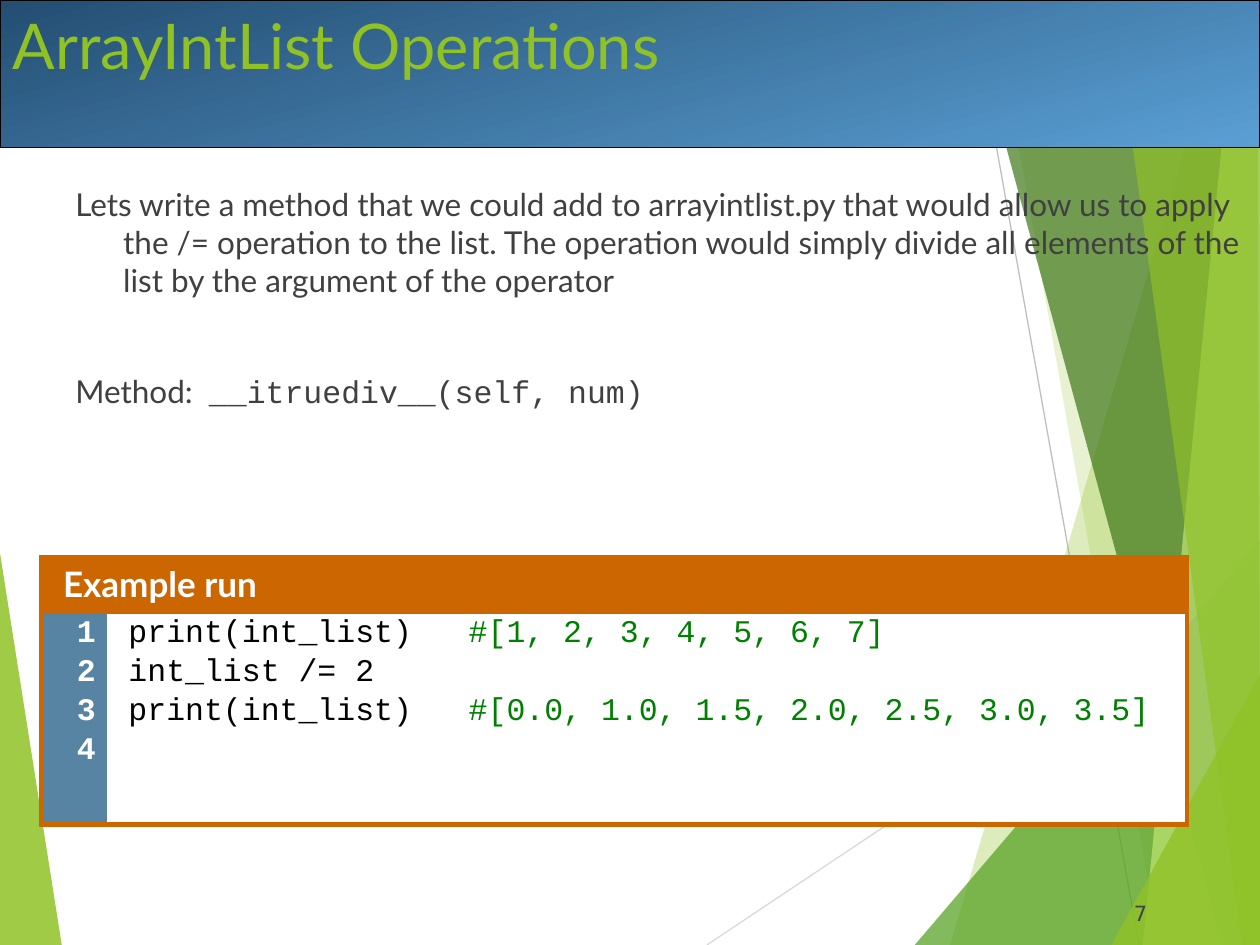
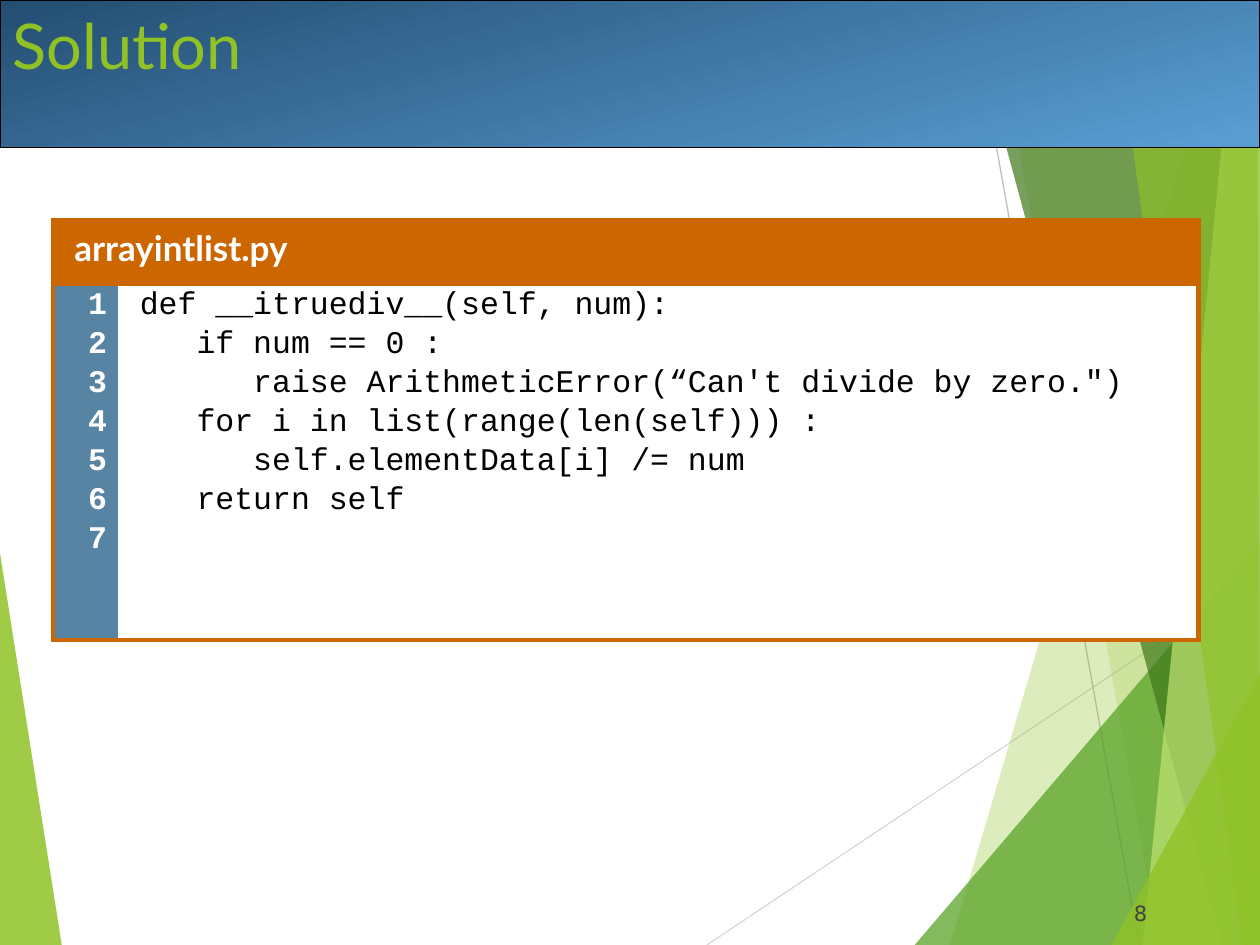
import lxml.etree
import pptx
import pptx.dml.color
import pptx.enum.shapes
import pptx.enum.text
import pptx.oxml
import pptx.oxml.ns
import pptx.util

Inches = pptx.util.Inches
Pt = pptx.util.Pt
qn = pptx.oxml.ns.qn
ALIGN = pptx.enum.text.PP_ALIGN
ANCHOR = pptx.enum.text.MSO_ANCHOR

SANS, MONO, NUMBER_FONT = "Lato", "Courier New", "DejaVu Sans"
LIME, ORANGE, STEEL, WHITE, BLACK = "90C226", "CC6600", "5784A3", "FFFFFF", "000000"
BODY, COMMENT, NUMBER = "404040", "008000", "424242"
WIDTH, HEIGHT = 10, 7.5

RAYS = [((5.61, 7.5), (10, 4.57), "D9D9D9"), ((7.7, 0), (9.04, 7.5), "BFBFBF")]
FACETS = [
    ([(0, 4.39), (0.49, 7.5), (0, 7.5)], LIME, 85),
    ([(9.75, 0), (7.54, 7.5), (10, 7.5), (10, 0)], LIME, 30),
    ([(7.88, 0), (9.2, 7.5), (10, 7.5), (10, 0)], LIME, 20),
    ([(7.26, 7.5), (10, 4.29), (10, 7.5)], "54A021", 72),
    ([(7.67, 0), (9.7, 7.5), (10, 7.5), (10, 0)], "3F7819", 70),
    ([(9.81, 0), (9.07, 7.5), (10, 7.5), (10, 0)], "C0E474", 70),
    ([(8.83, 0), (9.86, 7.5), (10, 7.5), (9.98, 0)], LIME, 65),
    ([(8.82, 7.5), (10, 5.35), (10, 7.5)], LIME, 80),
]
EXAMPLE = [
    [("print(int_list)   ", {}), ("#[1, 2, 3, 4, 5, 6, 7]", {"color": COMMENT})],
    "int_list /= 2",
    [("print(int_list)   ", {}),
     ("#[0.0, 1.0, 1.5, 2.0, 2.5, 3.0, 3.5]", {"color": COMMENT})],
]
SOLUTION = [
    "def __itruediv__(self, num):",
    "   if num == 0 :",
    "      raise ArithmeticError(“Can't divide by zero.\")",
    "   for i in list(range(len(self))) :",
    "      self.elementData[i] /= num",
    "   return self",
]
TASK = [
    "Lets write a method that we could add to arrayintlist.py that would allow us to "
    "apply the /= operation to the list. The operation would simply divide all elements "
    "of the list by the argument of the operator",
    [("Method:  ", {}), ("__itruediv__(self, num)", {"font": MONO})],
]


def rgb(color):
    """Turn a hex string into a colour."""
    return pptx.dml.color.RGBColor.from_string(color)


def style_span(span, font, size, color, bold):
    """Format one run."""
    span.font.name, span.font.size, span.font.bold = font, Pt(size), bold
    span.font.color.rgb = rgb(color)


def write(frame, lines, font=SANS, size=18, color=BLACK, bold=False, align=ALIGN.LEFT,
          gap=0, spacing=None, margin=0, indent=0):
    """Fill a text frame with lines, each a string or a list of (text, format) pairs."""
    for index, line in enumerate(lines):
        para = frame.add_paragraph() if index else frame.paragraphs[0]
        properties = para._p.get_or_add_pPr()
        properties.set("marL", str(Inches(margin)))
        properties.set("indent", str(Inches(indent)))
        para.alignment = align
        para.space_before = Pt(gap if index else 0)
        if spacing:
            para.line_spacing = spacing
        for text, change in [(line, {})] if isinstance(line, str) else line:
            span = para.add_run()
            span.text = text
            look = {"font": font, "size": size, "color": color, "bold": bold}
            style_span(span, **{**look, **change})


def add_text(page, left, top, width, height, lines, inset=None, anchor=ANCHOR.TOP, **look):
    """Add a wrapping text box."""
    frame = page.shapes.add_textbox(
        Inches(left), Inches(top), Inches(width), Inches(height)).text_frame
    frame.word_wrap, frame.vertical_anchor = True, anchor
    if inset is not None:
        frame.margin_left = frame.margin_right = Inches(inset)
        frame.margin_top = frame.margin_bottom = Inches(inset)
    write(frame, lines, **look)


def add_ray(page, start, end, color):
    """Draw a thin background line."""
    ray = page.shapes.add_connector(
        pptx.enum.shapes.MSO_CONNECTOR.STRAIGHT, *map(Inches, start + end))
    ray.line.color.rgb, ray.line.width = rgb(color), Pt(0.75)
    lxml.etree.SubElement(ray.element.spPr, qn("a:effectLst"))


def add_facet(page, points, color, opacity):
    """Draw a translucent background polygon."""
    corners = [(Inches(x), Inches(y)) for x, y in points]
    builder = page.shapes.build_freeform(*corners[0])
    builder.add_line_segments(corners[1:], close=True)
    facet = builder.convert_to_shape()
    facet.shadow.inherit = False
    facet.line.fill.background()
    facet.fill.solid()
    facet.fill.fore_color.rgb = rgb(color)
    tint = next(facet.element.spPr.iter(qn("a:srgbClr")))
    lxml.etree.SubElement(tint, qn("a:alpha")).set("val", str(opacity * 1000))


def add_band(page, height):
    """Draw the gradient band behind the title."""
    band = page.shapes.add_shape(
        pptx.enum.shapes.MSO_SHAPE.ROUNDED_RECTANGLE, 0, 0, Inches(WIDTH), Inches(height))
    band.adjustments[0] = 0
    band.shadow.inherit = False
    band.fill.gradient()
    band.fill.gradient_angle = 285
    for stop, color in zip(band.fill.gradient_stops, ("244E72", "5A9FD4")):
        stop.color.rgb = rgb(color)
    band.line.color.rgb, band.line.width = rgb(BLACK), Pt(0.75)


def add_page(deck, heading, number):
    """Add a slide with its backdrop, band, number and title."""
    page = deck.slides.add_slide(deck.slide_layouts[5])
    add_facet(page, *FACETS[0])
    for ray in RAYS:
        add_ray(page, *ray)
    for facet in FACETS[1:]:
        add_facet(page, *facet)
    add_band(page, 1.17)
    add_text(page, 9, 6.95, 0.83, 0.4, [str(number)], inset=0, anchor=ANCHOR.BOTTOM,
             font=NUMBER_FONT, size=12, color=NUMBER)
    title = page.shapes.title
    title.left, title.top, title.width, title.height = map(Inches, (0, 0, 9, 1.25))
    title.text_frame.vertical_anchor = ANCHOR.TOP
    title.text_frame.auto_size = pptx.enum.text.MSO_AUTO_SIZE.NONE
    write(title.text_frame, [heading], size=36, color=LIME)
    page.shapes.element.append(title.element)
    return page


def fill_cell(cell, lines, fill, edges, right=0.05, **look):
    """Write and colour a cell, with borders on the named edges only."""
    cell.margin_left = cell.margin_top = cell.margin_bottom = Inches(0.05)
    cell.margin_right = Inches(right)
    cell.fill.solid()
    cell.fill.fore_color.rgb = rgb(fill)
    properties = cell._tc.get_or_add_tcPr()
    for index, edge in enumerate("LRTB"):
        border = lxml.etree.Element(qn("a:ln" + edge), w=str(Pt(3)))
        if edge in edges:
            paint = lxml.etree.SubElement(border, qn("a:solidFill"))
            lxml.etree.SubElement(paint, qn("a:srgbClr")).set("val", ORANGE)
        else:
            lxml.etree.SubElement(border, qn("a:noFill"))
        properties.insert(index, border)
    write(cell.text_frame, lines, margin=0.12, **look)


def add_listing(page, left, top, heights, caption, code, count):
    """Add a captioned code table with a column of line numbers."""
    widths = (0.52, 8.57)
    table = page.shapes.add_table(2, 2, Inches(left), Inches(top), Inches(sum(widths)),
                                  Inches(sum(heights))).table
    table.horz_banding = False
    for column, width in zip(table.columns, widths):
        column.width = Inches(width)
    for row, height in zip(table.rows, heights):
        row.height = Inches(height)
    table.cell(0, 0).merge(table.cell(0, 1))
    fill_cell(table.cell(0, 0), [caption], ORANGE, "LRTB", size=20, color=WHITE, bold=True)
    fill_cell(table.cell(0, 1), [], ORANGE, "RTB")
    look = {"font": MONO, "gap": 4.5, "spacing": 0.87}
    numbers = [str(number) for number in range(1, count + 1)]
    fill_cell(table.cell(1, 0), numbers, STEEL, "LTB", right=0.09, color=WHITE, bold=True,
              align=ALIGN.RIGHT, **look)
    fill_cell(table.cell(1, 1), code, WHITE, "RTB", right=0.18, **look)


def main():
    """Build and save the deck."""
    deck = pptx.Presentation()
    deck.slide_width, deck.slide_height = Inches(WIDTH), Inches(HEIGHT)
    page = add_page(deck, "ArrayIntList Operations", 7)
    add_text(page, 0.5, 1.42, 9.5, 2.83, TASK, color=BODY, gap=42, margin=0.38, indent=-0.38)
    add_listing(page, 0.33, 4.42, (0.42, 1.69), "Example run", EXAMPLE, 4)
    page = add_page(deck, "Solution", 8)
    add_listing(page, 0.42, 1.75, (0.5, 2.83), "arrayintlist.py", SOLUTION, 7)
    deck.save("out.pptx")


if __name__ == "__main__":
    main()
